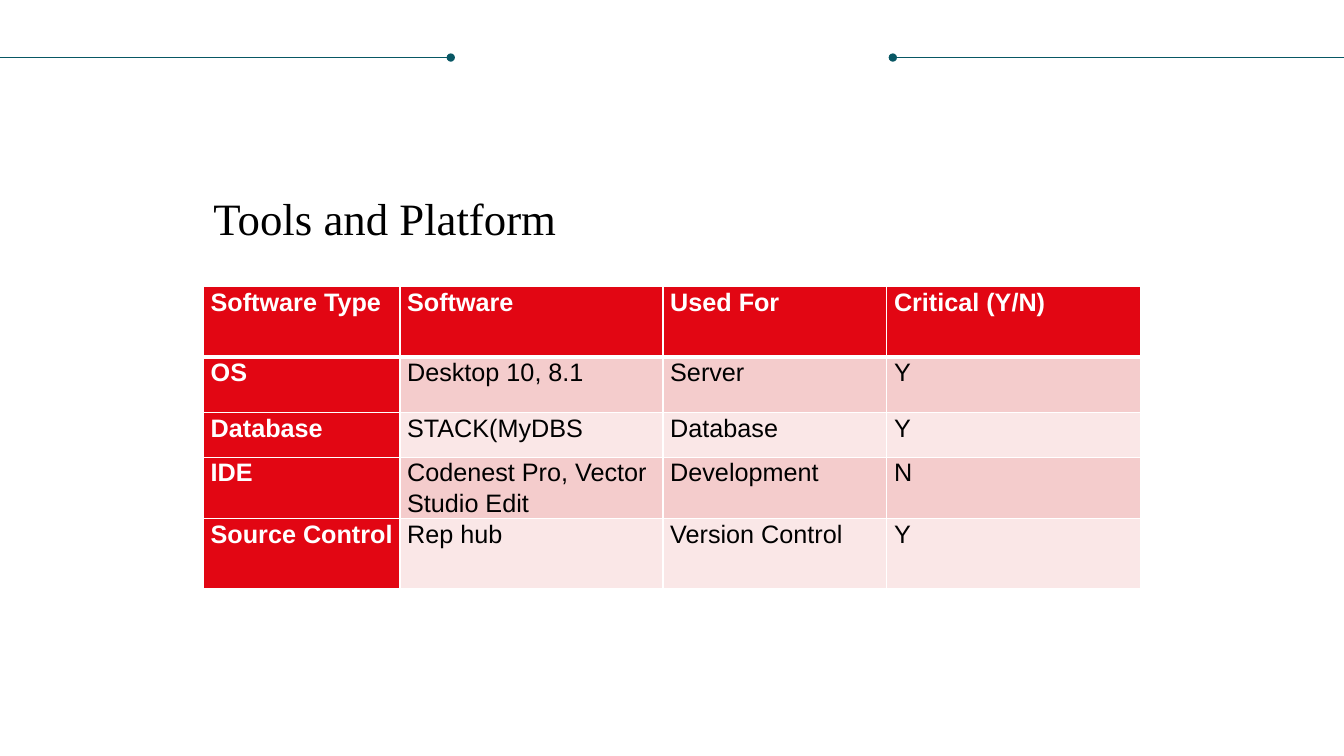
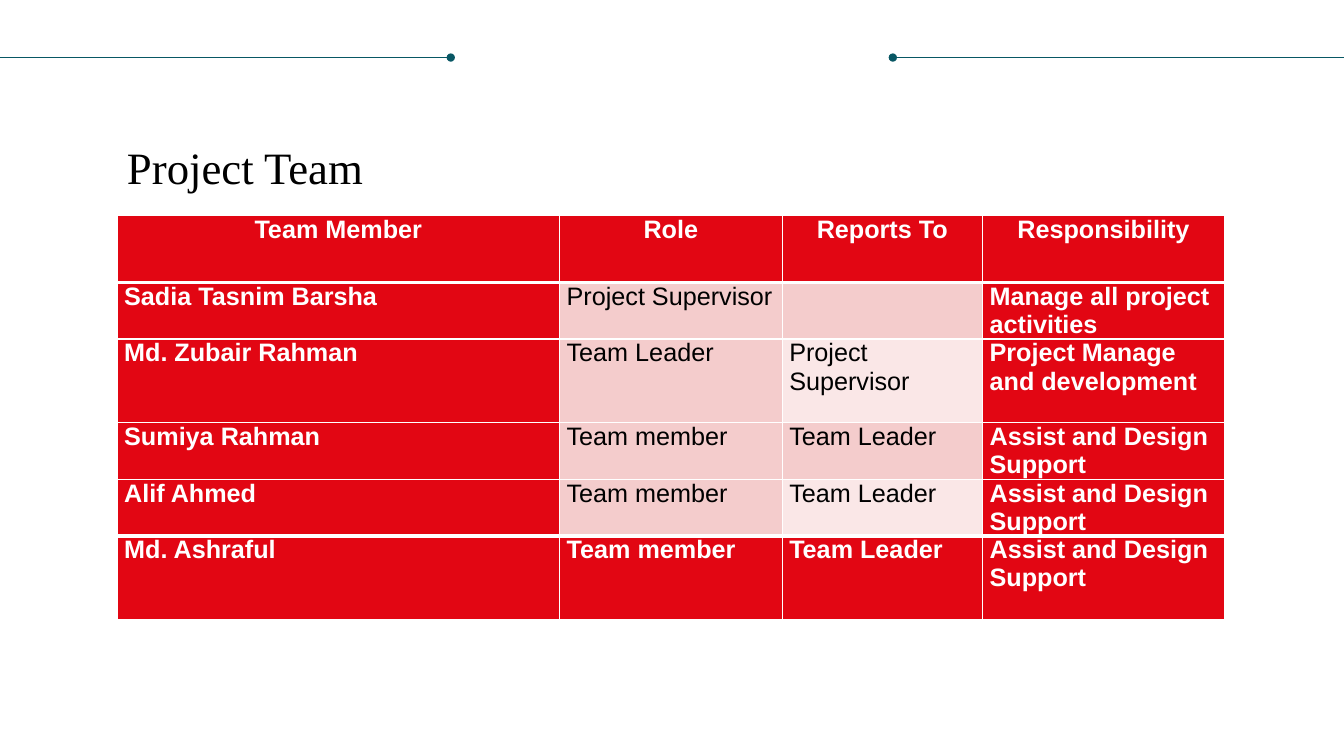
"""Builds two slides with a shared header rule, a title and a table each."""
from dataclasses import dataclass

import pptx
import pptx.util
import pptx.dml.color
import pptx.enum.shapes
import pptx.enum.text
import pptx.oxml
import pptx.oxml.ns
from pptx.util import Cm


@dataclass(frozen=True)
class Theme:
    teal: str = "085764"
    red: str = "E20613"
    pink: str = "F4CCCC"
    pale: str = "FAE7E7"
    white: str = "FFFFFF"
    black: str = "000000"
    title_font: str = "Times New Roman"
    body_font: str = "Arial"
    title_size: int = 32
    body_size: int = 18
    rule_width: float = 0.5
    border: int = 1
    thick_border: int = 3


def rgb(color):
    return pptx.dml.color.RGBColor.from_string(color)


def element(xml):
    return pptx.oxml.parse_xml(xml.replace(">", " " + pptx.oxml.ns.nsdecls("a") + ">", 1))


class Deck:
    def __init__(self, theme):
        self.theme = theme
        self.prs = pptx.Presentation()
        self.prs.slide_width, self.prs.slide_height = Cm(33.87), Cm(19.05)
        self.s = None

    def slide(self):
        self.s = self.prs.slides.add_slide(self.prs.slide_layouts[6])
        self.rule(22.5, 33.87, "headEnd")
        self.rule(0, 11.36, "tailEnd")

    def rule(self, left, right, dot_end):
        y = Cm(1.45)
        sp = self.s.shapes.add_connector(
            pptx.enum.shapes.MSO_CONNECTOR.STRAIGHT, Cm(left), y, Cm(right), y)
        sp.line.color.rgb = rgb(self.theme.teal)
        sp.line.width = pptx.util.Pt(self.theme.rule_width)
        sp.line._get_or_add_ln().append(element(f'<a:{dot_end} type="oval"></a:{dot_end}>'))
        sp._element.spPr.append(element("<a:effectLst></a:effectLst>"))

    def format(self, p, font, size, color, bold=False):
        for r in p.runs:
            r.font.name, r.font.size = font, pptx.util.Pt(size)
            r.font.color.rgb, r.font.bold = rgb(color), bold

    def title(self, text, left, top):
        tf = self.s.shapes.add_textbox(Cm(left), Cm(top), Cm(13.54), Cm(1.88)).text_frame
        tf.word_wrap = True
        tf.text = text
        p = tf.paragraphs[0]
        p.line_spacing = 0.9
        self.format(p, self.theme.title_font, self.theme.title_size, self.theme.black)

    def borders(self, cell, thick_sides):
        tc_pr = cell._tc.get_or_add_tcPr()
        for side in "LRTB":
            points = self.theme.thick_border if side in thick_sides else self.theme.border
            tc_pr.append(element(
                f'<a:ln{side} w="{pptx.util.Pt(points)}"><a:solidFill>'
                f'<a:srgbClr val="{self.theme.white}"/></a:solidFill></a:ln{side}>'))

    def cell(self, cell, text, fill, thick_sides, centred, spacing, after):
        t = self.theme
        strong = fill == t.red
        self.borders(cell, thick_sides)
        cell.fill.solid()
        cell.fill.fore_color.rgb = rgb(fill)
        cell.margin_left = cell.margin_right = Cm(0.18)
        cell.margin_top = cell.margin_bottom = 0
        cell.text_frame.text = text
        for p in cell.text_frame.paragraphs:
            p.line_spacing, p.space_after = spacing, pptx.util.Pt(after)
            if centred:
                p.alignment = pptx.enum.text.PP_ALIGN.CENTER
            self.format(p, t.body_font, t.body_size, t.white if strong else t.black, strong)

    def table(self, left, top, widths, heights, rows, strong_cols, pink_cols=(),
              total=False, centre_header=False, spacing=1.0, after=0):
        t = self.theme
        table = self.s.shapes.add_table(
            len(rows), len(widths), Cm(left), Cm(top),
            Cm(sum(widths)), Cm(sum(heights))).table
        table.first_row = table.horz_banding = False
        for column, width in zip(table.columns, widths):
            column.width = Cm(width)
        for row, height in zip(table.rows, heights):
            row.height = Cm(height)
        strong_rows = {0, len(rows) - 1} if total else {0}
        thick_lines = {1, len(rows) - 1} if total else {1}
        for i, row in enumerate(rows):
            sides = ("T" if i in thick_lines else "") + ("B" if i + 1 in thick_lines else "")
            for j, text in enumerate(row):
                if i in strong_rows or j in strong_cols:
                    fill = t.red
                else:
                    fill = t.pink if i % 2 or j in pink_cols else t.pale
                self.cell(table.cell(i, j), text, fill, sides,
                          centre_header and i == 0, spacing, after)


def main():
    deck = Deck(Theme())

    deck.slide()
    deck.table(
        5.13, 7.22, [4.95, 6.63, 5.64, 6.4], [1.78, 1.4, 1.12, 1.54, 1.78],
        [["Software Type", "Software", "Used For", "Critical (Y/N)"],
         ["OS", "Desktop 10, 8.1", "Server", "Y"],
         ["Database", "STACK(MyDBS", "Database", "Y"],
         ["IDE", "Codenest Pro, Vector Studio Edit", "Development", "N"],
         ["Source Control", "Rep hub", "Version Control", "Y"]],
        strong_cols={0}, spacing=1.07, after=8)
    deck.title("Tools and Platform", 5.13, 4.83)

    deck.slide()
    support = "Assist and Design Support"
    deck.table(
        2.95, 5.44, [11.15, 5.61, 5.05, 6.1], [1.68, 1.42, 2.11, 1.42, 1.42, 2.11],
        [["Team Member", "Role", "Reports To", "Responsibility"],
         ["Sadia Tasnim Barsha", "Project Supervisor", "", "Manage all project activities"],
         ["Md. Zubair Rahman", "Team Leader", "Project\nSupervisor",
          "Project Manage and development"],
         ["Sumiya Rahman", "Team member", "Team Leader", support],
         ["Alif Ahmed", "Team member", "Team Leader", support],
         ["Md. Ashraful", "Team member", "Team Leader", support]],
        strong_cols={0, 3}, pink_cols={1}, total=True, centre_header=True)
    deck.title("Project Team", 2.95, 3.56)

    deck.prs.save("out.pptx")


if __name__ == "__main__":
    main()
